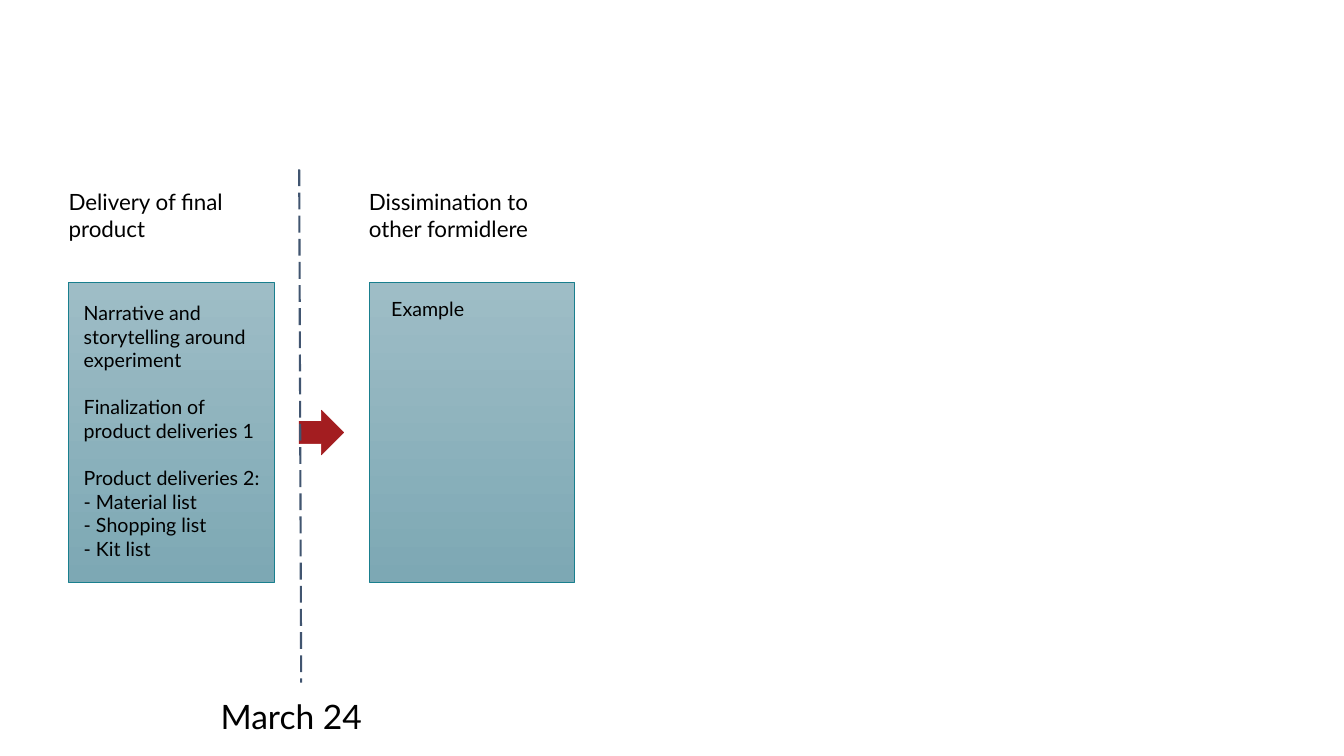
from lxml.etree import SubElement
from pptx import Presentation
from pptx.dml.color import RGBColor
from pptx.enum.dml import MSO_LINE
from pptx.enum.shapes import MSO_CONNECTOR, MSO_SHAPE
from pptx.enum.text import PP_ALIGN
from pptx.oxml.ns import qn
from pptx.util import Cm, Pt

BLACK = RGBColor(0x00, 0x00, 0x00)
LIGHT = RGBColor(0x9E, 0xBD, 0xC6)
DEEP = RGBColor(0x7D, 0xA8, 0xB4)
TEAL = RGBColor(0x19, 0x7F, 0x8E)
RED = RGBColor(0xA3, 0x1D, 0x20)
NAVY = RGBColor(0x41, 0x55, 0x70)

FONT = "Lato"
WIDTH = 5.18
TASKS = [
    ("Narrative and storytelling around experiment", 0),
    ("Finalization of product deliveries 1", 16.8),
    ("Product deliveries 2:", 16.8),
    ("- Material list", 0),
    ("- Shopping list", 0),
    ("- Kit list", 0),
]


def add_text(slide, left, top, width, height, size, lines):
    """Add a text box whose lines are pairs of wording and space before."""
    box = slide.shapes.add_textbox(Cm(left), Cm(top), Cm(width), Cm(height))
    frame = box.text_frame
    frame.word_wrap = True
    frame.margin_left = frame.margin_right = 0
    frame.margin_top = frame.margin_bottom = 0
    for i, (words, gap) in enumerate(lines):
        para = frame.add_paragraph() if i else frame.paragraphs[0]
        para.alignment = PP_ALIGN.LEFT
        para.space_before = Pt(gap)
        run = para.add_run()
        run.text = words
        run.font.name = FONT
        run.font.size = Pt(size)
        run.font.color.rgb = BLACK


def add_form(slide, kind, left, top, width, height, edge):
    """Add a preset shape with a thin edge and return it."""
    form = slide.shapes.add_shape(kind, Cm(left), Cm(top), Cm(width), Cm(height))
    form.shadow.inherit = False
    form.line.color.rgb = edge
    form.line.width = Pt(0.5)
    return form


def add_panel(slide, left, title):
    """Add a shaded panel with its title above."""
    panel = add_form(slide, MSO_SHAPE.RECTANGLE, left, 7.11, WIDTH, 7.57, TEAL)
    panel.fill.gradient()
    panel.fill.gradient_angle = 270
    for stop, color in zip(panel.fill.gradient_stops, (LIGHT, DEEP)):
        stop.color.rgb = color
    add_text(slide, left, 4.75, WIDTH, 1.37, 16, [(title, 0)])


def add_arrow(slide):
    """Add the red arrow that leads to the next panel."""
    arrow = add_form(slide, MSO_SHAPE.RIGHT_ARROW, 7.54, 10.34, 1.12, 1.12, RED)
    arrow.fill.solid()
    arrow.fill.fore_color.rgb = RED


def add_dashes(slide):
    """Add the dashed line that marks the date."""
    mark = slide.shapes.add_connector(
        MSO_CONNECTOR.STRAIGHT, Cm(7.54), Cm(4.27), Cm(7.59), Cm(17.2)
    )
    mark.line.color.rgb = NAVY
    mark.line.width = Pt(1.5)
    mark.line.dash_style = MSO_LINE.LONG_DASH
    SubElement(mark._element.spPr, qn("a:effectLst"))


def main():
    """Build the slide and save it."""
    deck = Presentation()
    deck.slide_width = Cm(33.87)
    deck.slide_height = Cm(19.05)
    slide = deck.slides.add_slide(deck.slide_layouts[6])
    add_panel(slide, 1.73, "Delivery of final product")
    add_panel(slide, 9.3, "Dissimination to other formidlere")
    add_text(slide, 2.11, 7.59, 4.62, 6.58, 14, TASKS)
    add_text(slide, 9.86, 7.49, 4.62, 0.61, 14, [("Example", 0)])
    add_arrow(slide)
    add_text(slide, 5.56, 17.53, 3.96, 1.02, 24, [("March 24", 0)])
    add_dashes(slide)
    deck.save("out.pptx")


if __name__ == "__main__":
    main()
